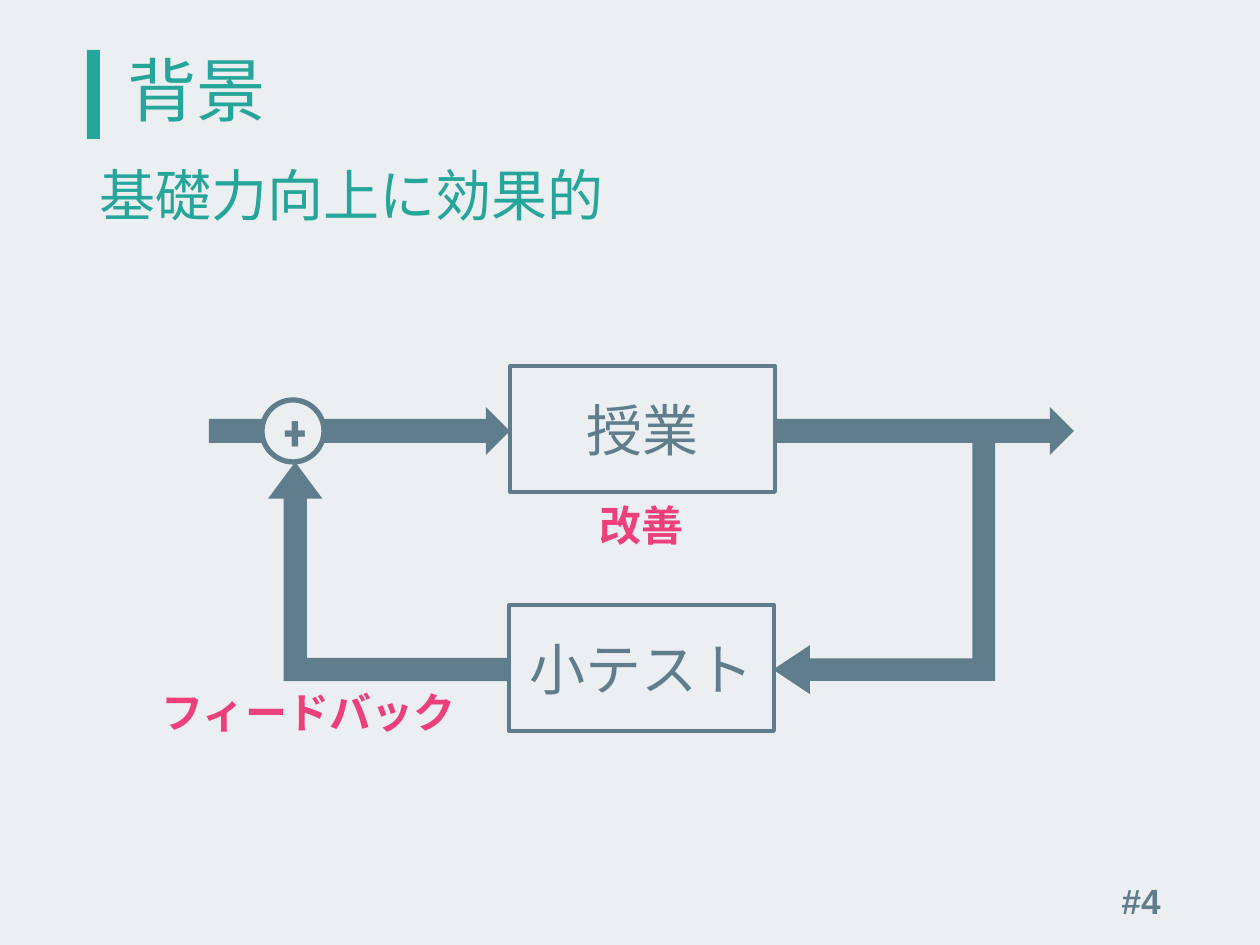
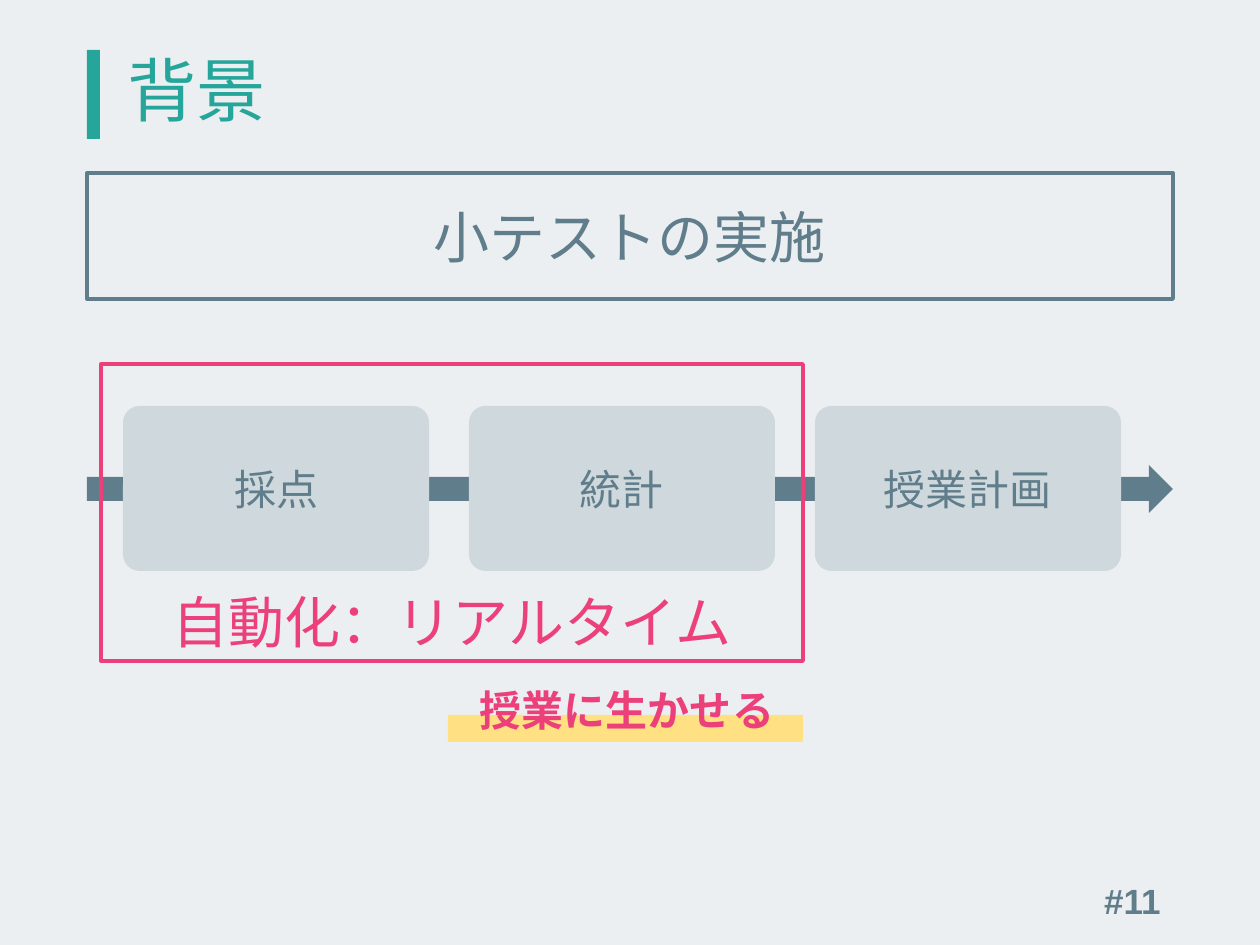
"""Build two background slides: a feedback loop and a quiz workflow."""
from pptx import Presentation, util as u
from pptx.dml.color import RGBColor
from pptx.enum import shapes, text
from pptx.oxml.ns import qn
from lxml import etree

PX = 914400 / 126
TEAL, SLATE, PINK = "26A69A", "607D8B", "EC407A"
PALE, MIST, GOLD = "ECEFF1", "CFD8DC", "FFE082"
SANS = "Noto Sans CJK JP"
KIND = shapes.MSO_SHAPE
MID, LOW = text.MSO_ANCHOR.MIDDLE, text.MSO_ANCHOR.BOTTOM
LEFT, CENTER, RIGHT = text.PP_ALIGN.LEFT, text.PP_ALIGN.CENTER, text.PP_ALIGN.RIGHT


def write(shape, words, size, color, bold=False, face=SANS, align=CENTER, anchor=MID):
    """Put one styled line of text in a shape."""
    frame = shape.text_frame
    frame.word_wrap, frame.vertical_anchor = True, anchor
    line = frame.paragraphs[0]
    line.alignment = align
    run = line.add_run()
    run.text = words
    style = {"size": u.Pt(size), "bold": bold, "name": face}
    for key, value in style.items():
        setattr(run.font, key, value)
    run.font.color.rgb = RGBColor.from_string(color)
    east = etree.SubElement(run.font._element, qn("a:ea"))
    east.set("typeface", face)


def draw(slide, kind, box, fill=None, edge=None, width=2.25):
    """Add a preset shape, or a text box when kind is None."""
    box = [round(n * PX) for n in box]
    if kind is None:
        return slide.shapes.add_textbox(*box)
    shape = slide.shapes.add_shape(kind, *box)
    shape.shadow.inherit = False
    for part, color in ((shape.fill, fill), (shape.line.fill, edge)):
        if color:
            part.solid()
            part.fore_color.rgb = RGBColor.from_string(color)
        else:
            part.background()
    if edge:
        shape.line.width = u.Pt(width)
    return shape


deck = Presentation()
deck.slide_width, deck.slide_height = round(1260 * PX), round(945 * PX)
back = deck.slide_master.background.fill
back.solid()
back.fore_color.rgb = RGBColor.from_string(PALE)

pages = []
for mark in ("#4", "#11"):
    page = deck.slides.add_slide(deck.slide_layouts[5])
    draw(page, KIND.RECTANGLE, (87, 50, 13, 89), TEAL)
    title = page.shapes.title
    place = {"left": 115, "top": 50, "width": 1060, "height": 89}
    for key, value in place.items():
        setattr(title, key, round(value * PX))
    write(title, "背景", 39.6, TEAL, align=LEFT)
    title.text_frame.auto_size = text.MSO_AUTO_SIZE.NONE
    title.text_frame.paragraphs[0].line_spacing = 0.9
    foot = draw(page, None, (890, 876, 283, 50))
    write(foot, mark, 20, SLATE, True, "Arial", RIGHT)
    pages.append(page)
loop, flow = pages

lead = draw(loop, None, (87, 154, 845, 81))
write(lead, "基礎力向上に効果的", 32, TEAL, align=LEFT)

for words, left, top in (("授業", 510, 366), ("小テスト", 509, 605)):
    box = draw(loop, KIND.RECTANGLE, (left, top, 265, 126), edge=SLATE)
    write(box, words, 32, SLATE)

for left, width in ((774, 300), (209, 301)):
    draw(loop, KIND.RIGHT_ARROW, (left, 407, width, 48), SLATE)

bends = (
    ((756, 455, 256, 222), 90, (0.102, 0.11, 0.166)),
    ((268, 462, 242, 219), 180, (0.106, 0.124, 0.167)),
)
for box, turn, sizes in bends:
    bend = draw(loop, KIND.BENT_UP_ARROW, box, SLATE)
    bend.rotation = turn
    bend.element.spPr.xfrm.set("flipV", "1")
    for i, size in enumerate(sizes):
        bend.adjustments[i] = size

plus = draw(loop, KIND.OVAL, (262, 400, 62, 62), PALE, SLATE, 3)
write(plus, "+", 28, SLATE, True, "Roboto Condensed")

for words, left, top in (("フィードバック", 131, 680), ("改善", 464, 493)):
    note = draw(loop, None, (left, top, 355, 63))
    write(note, words, 24, PINK, True)

draw(flow, KIND.RIGHT_ARROW, (87, 465, 1086, 48), SLATE)
head = draw(flow, KIND.RECTANGLE, (87, 173, 1086, 126), edge=SLATE)
write(head, "小テストの実施", 32, SLATE)

for i, words in enumerate(("採点", "統計", "授業計画")):
    step = draw(flow, KIND.ROUNDED_RECTANGLE, (123 + 346 * i, 406, 306, 165), MIST)
    step.adjustments[0] = 0.1
    write(step, words, 24, SLATE)

draw(flow, KIND.RECTANGLE, (448, 715, 355, 27), GOLD)
gain = draw(flow, None, (452, 678, 350, 63))
write(gain, "授業に生かせる", 24, PINK, True)

auto = draw(flow, KIND.RECTANGLE, (101, 364, 702, 297), edge=PINK)
write(auto, "自動化：リアルタイム", 32, PINK, anchor=LOW)

deck.save("out.pptx")
